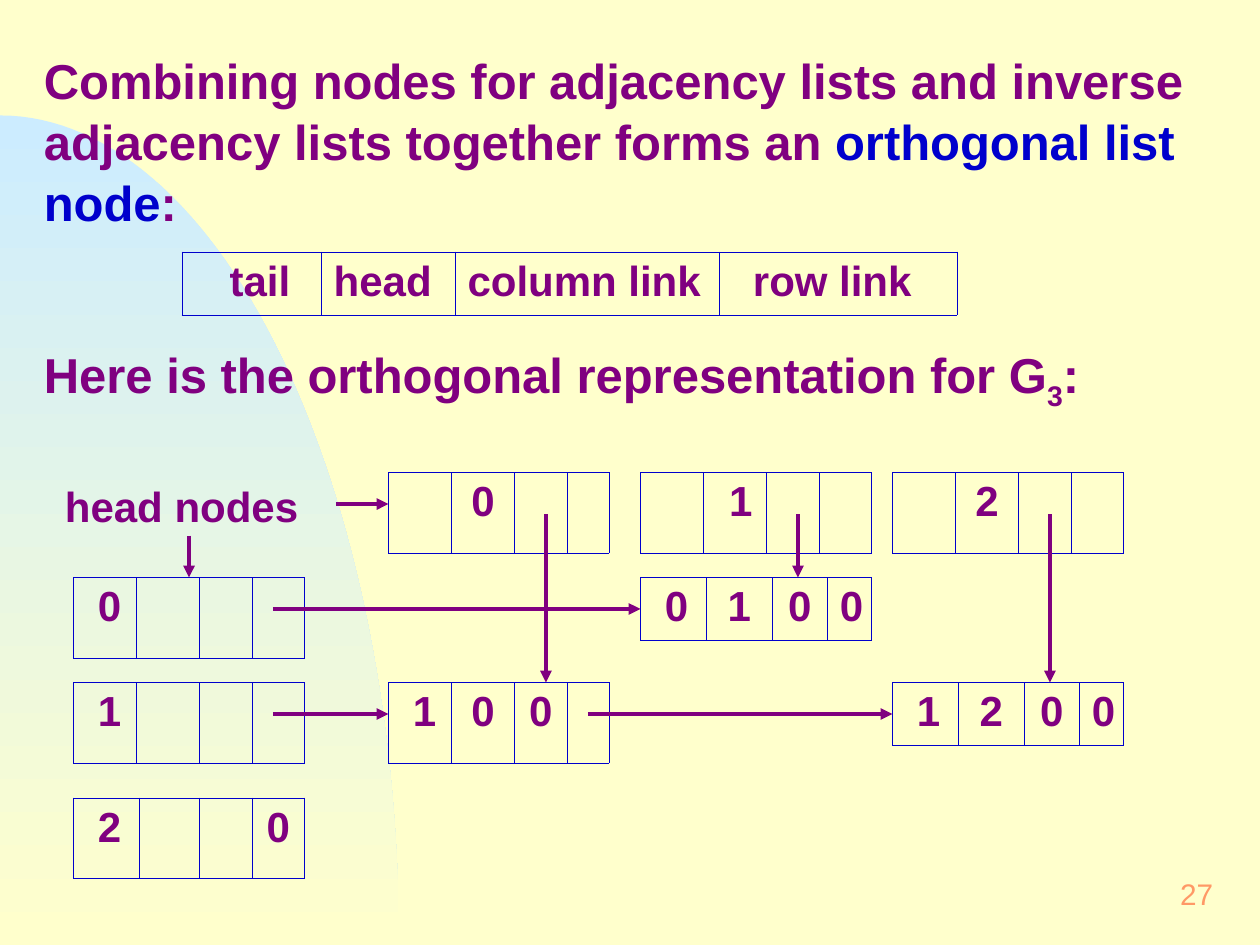
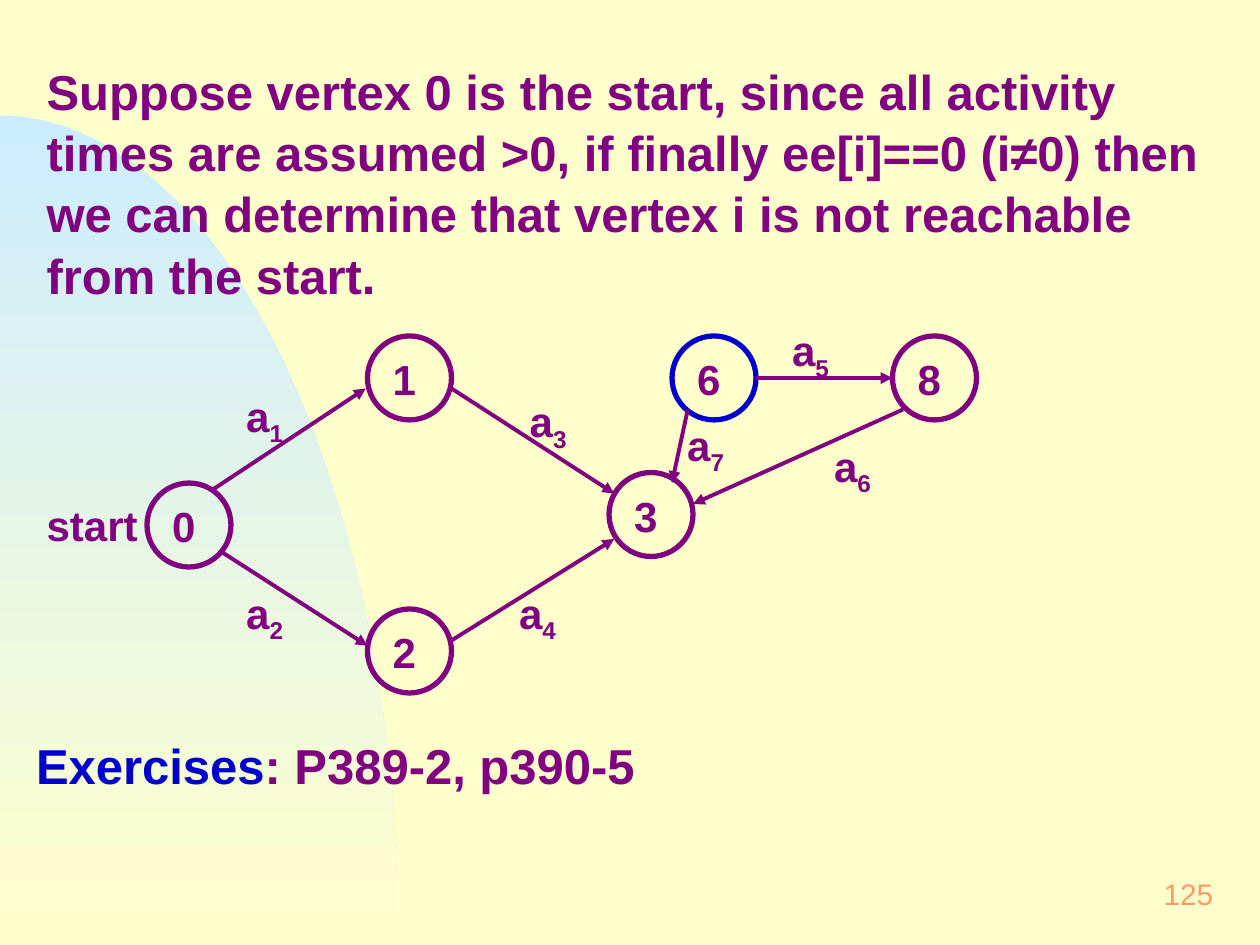
from math import cos, pi, sin

from lxml.etree import SubElement
from pptx import Presentation
from pptx.dml.color import RGBColor
from pptx.enum.shapes import MSO_CONNECTOR, MSO_SHAPE
from pptx.enum.text import MSO_ANCHOR, PP_ALIGN
from pptx.oxml.ns import qn
from pptx.util import Pt

COLORS = {
    "paper": "FFFFCC",
    "sky": "CCECFF",
    "text": "800080",
    "accent": "0000CC",
    "number": "FF9966",
}
FONT = "Arial"
BODY, LABEL, NUMBER = 28, 24, 17
SNUG, ROOMY = (7.2, 3.6), (8.64, 4.32)
CELL_MARGIN = 7.2
SPACE = 6.67
LINE_SPACING = 1.04


def rgb(name):
    """Return a named colour."""
    return RGBColor.from_string(COLORS[name])


def style_run(run, size, color="text", bold=True):
    """Give a run its font."""
    run.font.name = FONT
    run.font.size = Pt(size)
    run.font.bold = bold
    run.font.color.rgb = rgb(color)


def add_text(slide, box, runs, size, inset, bold=True):
    """Write (text, colour, is_subscript) runs in a box and return its frame."""
    frame = slide.shapes.add_textbox(*map(Pt, box)).text_frame
    frame.word_wrap = True
    frame.margin_left = frame.margin_right = Pt(inset[0])
    frame.margin_top = frame.margin_bottom = Pt(inset[1])
    paragraph = frame.paragraphs[0]
    paragraph.line_spacing = LINE_SPACING
    for text, color, is_subscript in runs:
        run = paragraph.add_run()
        run.text = text
        style_run(run, size, color, bold)
        if is_subscript:
            run.font._element.set("baseline", "-25000")
    return frame


def add_arrow(slide, start, end):
    """Draw a line with a triangle at its end."""
    arrow = slide.shapes.add_connector(
        MSO_CONNECTOR.STRAIGHT, *map(Pt, (*start, *end)))
    arrow.line.color.rgb = rgb("text")
    arrow.line.width = Pt(2.25)
    SubElement(arrow.line._get_or_add_ln(), qn("a:tailEnd"), type="triangle")
    SubElement(arrow._element.spPr, qn("a:effectLst"))


def add_backdrop(master, slide, box):
    """Paint the master background and its quarter-ellipse."""
    master.background.fill.solid()
    master.background.fill.fore_color.rgb = rgb("paper")
    left, top, width, height = box
    steps = 60
    angles = [pi / 2 * step / steps for step in range(1, steps + 1)]
    rim = [(Pt(left + width * sin(angle)), Pt(top + height * (1 - cos(angle))))
           for angle in angles]
    builder = slide.shapes.build_freeform(Pt(left), Pt(top))
    builder.add_line_segments(rim + [(Pt(left), Pt(top + height))])
    hill = builder.convert_to_shape()
    hill.shadow.inherit = False
    hill.line.fill.background()
    hill.fill.gradient()
    hill.fill.gradient_angle = 270
    for stop, color in zip(hill.fill.gradient_stops, ("sky", "paper")):
        stop.color.rgb = rgb(color)
    master.shapes._spTree.insert(2, hill._element)


def add_page_number(slide, number):
    """Write the slide number at the lower right."""
    frame = add_text(slide, (552, 492, 150, 36),
                     [(number, "number", False)], NUMBER, ROOMY, bold=False)
    frame.vertical_anchor = MSO_ANCHOR.MIDDLE
    frame.paragraphs[0].alignment = PP_ALIGN.RIGHT


def outline_cell(cell):
    """Draw a thin border on each side of a cell."""
    properties = cell._tc.get_or_add_tcPr()
    for side in ("a:lnL", "a:lnR", "a:lnT", "a:lnB"):
        border = SubElement(properties, qn(side), w=str(Pt(0.45)))
        fill = SubElement(border, qn("a:solidFill"))
        SubElement(fill, qn("a:srgbClr"), val=COLORS["accent"])


def add_list_node(slide, left, top, widths, fields, indents, centred=(1, 2, 3)):
    """Draw a one-row list node; it is taller when a field is empty."""
    height = 36 if all(fields) else 46
    node = slide.shapes.add_table(
        1, len(fields), Pt(left), Pt(top), Pt(sum(widths)), Pt(height)).table
    node.first_row = node.horz_banding = False
    node.rows[0].height = Pt(height)
    for index, (width, field) in enumerate(zip(widths, fields)):
        node.columns[index].width = Pt(width)
        cell = node.cell(0, index)
        cell.margin_left = Pt(CELL_MARGIN + indents.get(index, 0))
        cell.margin_right = Pt(CELL_MARGIN)
        outline_cell(cell)
        cell.fill.background()
        paragraph = cell.text_frame.paragraphs[0]
        paragraph.text = field
        if index in centred:
            paragraph.alignment = PP_ALIGN.CENTER
        for run in paragraph.runs:
            style_run(run, LABEL)


def add_orthogonal_lists(slide, left, top):
    """Draw the head nodes, the edge nodes and the links between them."""
    columns = [left + offset for offset in (0, 180, 324, 468)]
    rows = [top + offset for offset in (0, 60, 120, 186)]
    wide = (36, 36, 30, 30)
    narrow = (36, 36, 30, 24)
    full = (37.7, 37.7, 31.4, 25.2)
    last = (37.5, 34.5, 30, 30)
    first = {0: SPACE}
    nodes = [
        (1, 0, narrow, ("", "0", "", ""), {}),
        (2, 0, wide, ("", "1", "", ""), {1: SPACE}),
        (3, 0, wide, ("", "2", "", ""), {}),
        (0, 1, wide, ("0", "", "", ""), first),
        (2, 1, full, ("0", "1", "0", "0"), first),
        (0, 2, wide, ("1", "", "", ""), first),
        (1, 2, narrow, ("1", "0", "0", ""), first),
        (3, 2, full, ("1", "2", "0", "0"), first),
        (0, 3, last, ("2", "", "", "0"), first),
    ]
    for column, row, widths, fields, indents in nodes:
        add_list_node(slide, columns[column], rows[row], widths, fields, indents)

    for column, row in ((1, 2), (2, 1), (3, 2)):
        x = columns[column] + 90
        add_arrow(slide, (x, top + 24), (x, rows[row]))
    for source, target, row in ((0, 2, 1), (0, 1, 2), (1, 3, 2)):
        y = rows[row] + 18
        add_arrow(slide, (columns[source] + 114, y), (columns[target], y))

    add_text(slide, (left - 12, top, 156, 40),
             [("head nodes", "text", False)], LABEL, SNUG)
    add_arrow(slide, (left + 66, top + 36), (left + 66, rows[1]))
    add_arrow(slide, (left + 150, top + 18), (columns[1], top + 18))


def add_vertex(slide, left, top, name, color):
    """Draw a numbered circle."""
    vertex = slide.shapes.add_shape(
        MSO_SHAPE.OVAL, Pt(left), Pt(top), Pt(48), Pt(48))
    vertex.shadow.inherit = False
    vertex.fill.background()
    vertex.line.color.rgb = rgb(color)
    vertex.line.width = Pt(3)
    frame = vertex.text_frame
    frame.word_wrap = False
    frame.margin_left = frame.margin_top = frame.margin_bottom = 0
    frame.margin_right = Pt(6)
    frame.vertical_anchor = MSO_ANCHOR.MIDDLE
    frame.text = name
    frame.paragraphs[0].alignment = PP_ALIGN.CENTER
    frame.paragraphs[0].line_spacing = LINE_SPACING
    style_run(frame.paragraphs[0].runs[0], LABEL)


def add_activity_network(slide, left, top):
    """Draw the vertices and the labelled activities between them."""
    vertices = [
        ("0", 66, 84, "text"), ("1", 192, 0, "text"), ("2", 192, 156, "text"),
        ("3", 330, 78, "text"), ("6", 366, 0, "accent"), ("8", 492, 0, "text"),
    ]
    activities = [
        ("1", (114, 25.5), (104, 87.5), (191, 30)),
        ("2", (114, 138), (108, 123), (192, 177)),
        ("3", (276, 28.5), (240, 30), (333, 90)),
        ("4", (270, 138), (240, 174), (333, 116)),
        ("5", (426, -12), (414, 24), (492, 24)),
        ("6", (450, 54), (498, 42), (378, 96)),
        ("7", (366, 42), (375, 42), (366, 84)),
    ]
    for name, x, y, color in vertices:
        add_vertex(slide, left + x, top + y, name, color)
    for index, label, start, end in activities:
        (x1, y1), (x2, y2) = start, end
        add_arrow(slide, (left + x1, top + y1), (left + x2, top + y2))
        add_text(slide, (left + label[0], top + label[1], 54, 42),
                 [("a", "text", False), (index, "text", True)], LABEL, ROOMY)
    add_text(slide, (left - 0, top + 88, 84, 37.5),
             [("start", "text", False)], LABEL, ROOMY)


def build_orthogonal_slide(slide):
    """Explain orthogonal list nodes."""
    add_page_number(slide, "27")
    add_text(slide, (18, 24, 690, 108), [
        ("Combining nodes for adjacency lists and inverse adjacency lists "
         "together forms an ", "text", False),
        ("orthogonal list node", "accent", False),
        (":", "text", False)], BODY, SNUG)
    add_list_node(slide, 104, 144, (79.5, 76.5, 151, 136),
                  ("tail", "head", "column link", "row link"),
                  {0: 3 * SPACE, 3: -SPACE}, centred=(3,))
    add_text(slide, (18, 192, 690, 45), [
        ("Here is the orthogonal representation for G", "text", False),
        ("3", "text", True), (":", "text", False)], BODY, SNUG)
    add_orthogonal_lists(slide, 42, 270)


def build_reachability_slide(slide):
    """Explain how unreachable vertices show up."""
    add_page_number(slide, "125")
    add_text(slide, (18, 29.5, 690, 143), [
        ("Suppose vertex 0 is the start, since all activity times are assumed "
         ">0, if finally ee[i]==0 (i≠0) then we can determine that vertex i is "
         "not reachable from the start.", "text", False)], BODY, ROOMY)
    add_activity_network(slide, 18, 192)
    add_text(slide, (12, 414.5, 690, 42.5), [
        ("Exercises", "accent", False),
        (": P389-2, p390-5", "text", False)], BODY, ROOMY)


def main():
    """Build and save the slides."""
    deck = Presentation()
    deck.slide_width, deck.slide_height = Pt(720), Pt(540)
    blank = deck.slide_layouts[6]
    orthogonal, reachability = (deck.slides.add_slide(blank) for _ in range(2))
    add_backdrop(deck.slide_master, orthogonal, (0, 66, 228, 474))
    build_orthogonal_slide(orthogonal)
    build_reachability_slide(reachability)
    deck.save("out.pptx")


if __name__ == "__main__":
    main()
